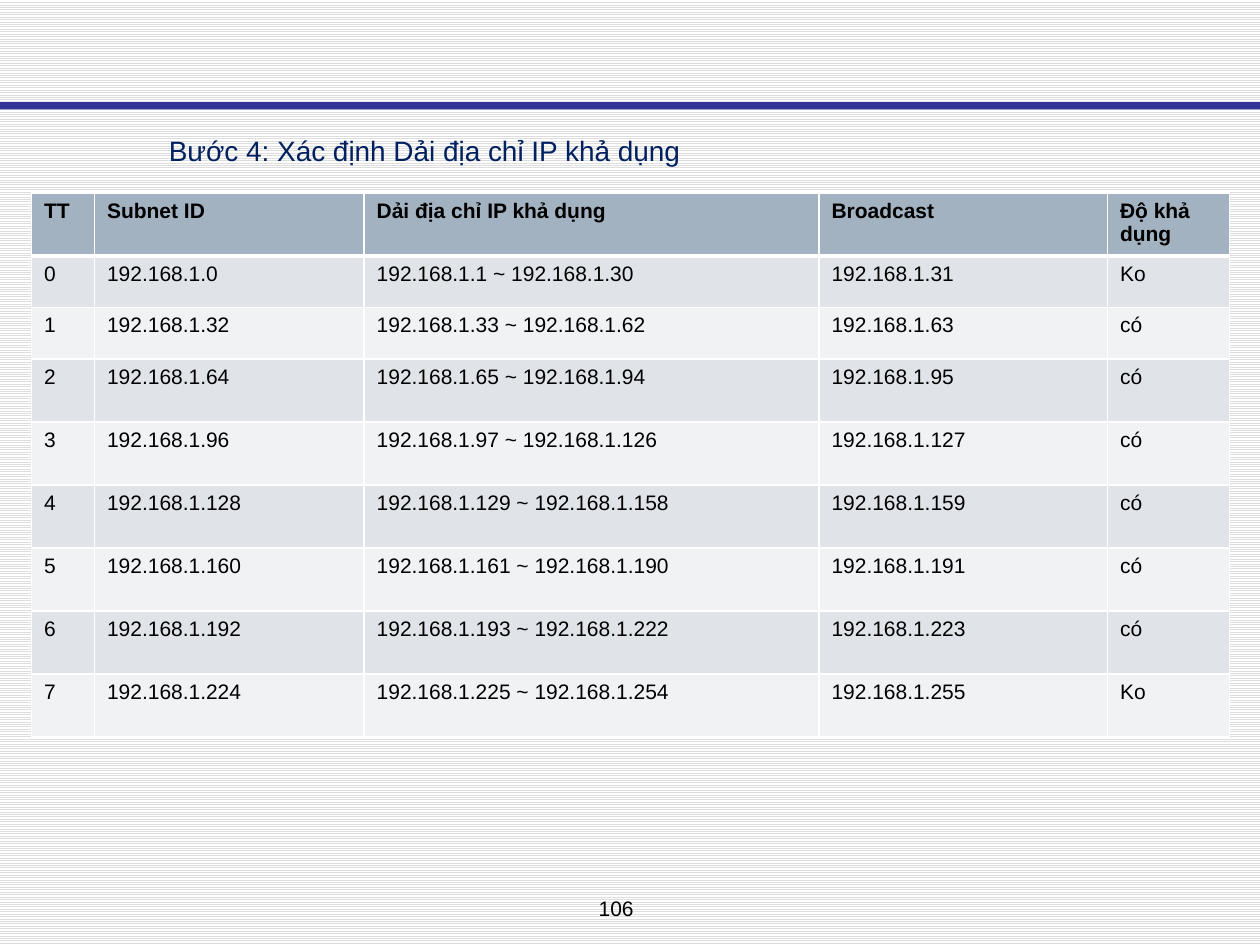
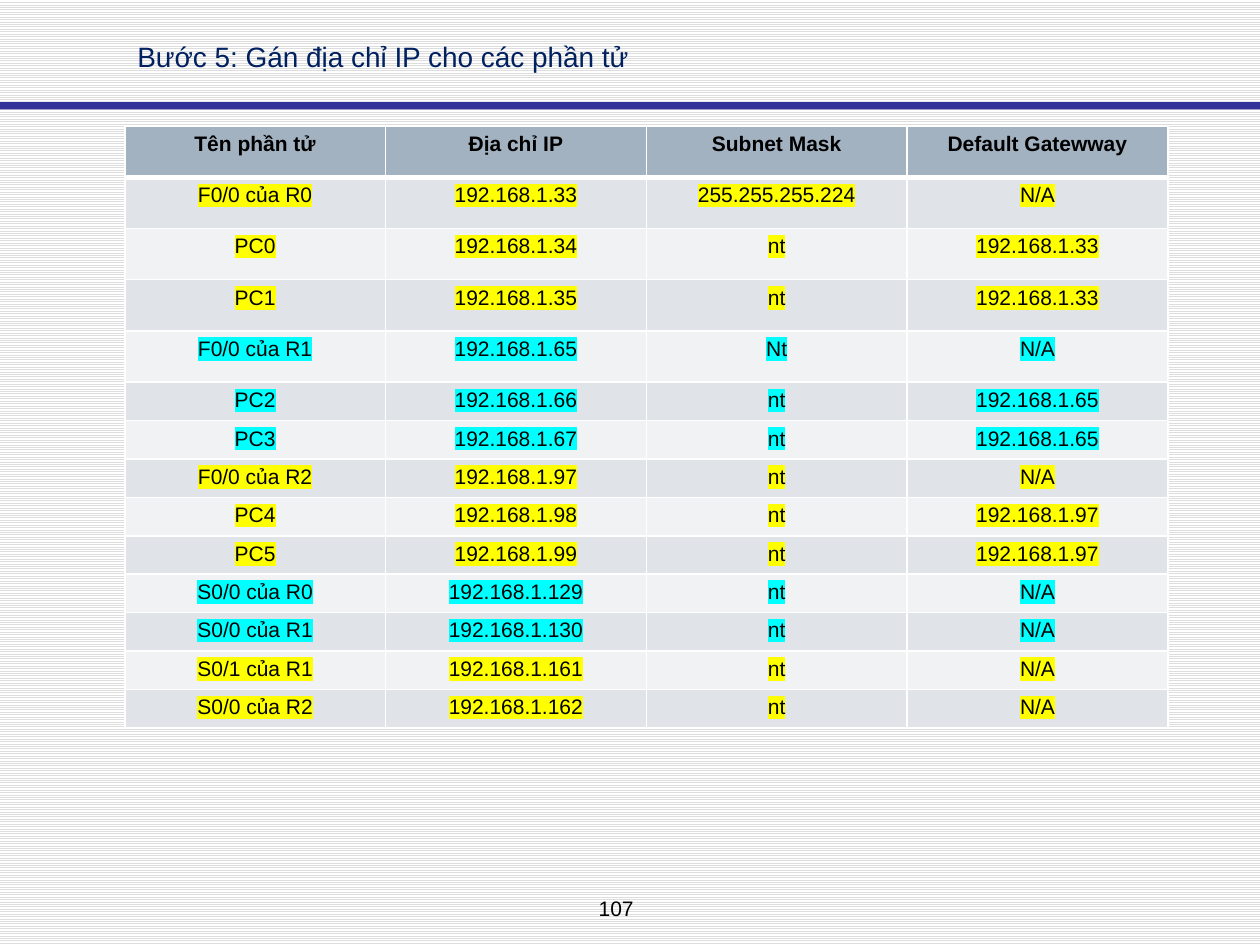
import pptx
import pptx.util
import pptx.dml.color
import pptx.enum.dml
import pptx.enum.shapes
import pptx.enum.text
import lxml.etree
from dataclasses import dataclass

Inches = pptx.util.Inches
Pt = pptx.util.Pt
RGB = pptx.dml.color.RGBColor.from_string
Align = pptx.enum.text.PP_ALIGN
NS = "http://schemas.openxmlformats.org/drawingml/2006/main"


@dataclass
class Theme:
    font: str = "Arial"
    big: int = 16
    small: int = 12
    navy: str = "002060"
    ink: str = "000000"
    white: str = "FFFFFF"
    rule: str = "DDDDDD"
    bar: str = "333399"
    head: str = "A3B2C1"
    bands: tuple = ("E0E4E9", "F0F2F4")
    yellow: str = "FFFF00"
    cyan: str = "00FFFF"


theme = Theme()


def style(para, size, tint, align, bold=False, mark=None):
    """Format a paragraph's only run, with an optional highlight."""
    para.alignment = align
    font = para.runs[0].font
    font.size, font.bold = Pt(size), bold
    font.color.rgb = RGB(tint)
    if mark:
        light = lxml.etree.SubElement(font._element, f"{{{NS}}}highlight")
        lxml.etree.SubElement(light, f"{{{NS}}}srgbClr", val=mark)
    font.name = theme.font


def grid(slide, left, top, widths, heights, rows, align, marks):
    """Add a table with a header, banded rows and white rules."""
    frame = slide.shapes.add_table(
        len(rows), len(widths), Inches(left), Inches(top),
        Inches(sum(widths)), Inches(sum(heights)))
    table = frame.table
    table.horz_banding = False
    for col, width in zip(table.columns, widths):
        col.width = Inches(width)
    for r, (texts, mark) in enumerate(zip(rows, marks)):
        table.rows[r].height = Inches(heights[r])
        for c, text in enumerate(texts):
            cell = table.cell(r, c)
            cell.text_frame.text = text
            style(cell.text_frame.paragraphs[0], theme.small, theme.ink,
                  align, r == 0, mark)
            cell.fill.solid()
            cell.fill.fore_color.rgb = RGB(
                theme.bands[(r - 1) % 2] if r else theme.head)
            # Borders come before the fill, thick under the header
            props = cell._tc.get_or_add_tcPr()
            for n, side in enumerate("LRTB"):
                thick = (r, side) in ((0, "B"), (1, "T"))
                line = lxml.etree.Element(
                    f"{{{NS}}}ln{side}", w=str(Pt(3 if thick else 1)))
                fill = lxml.etree.SubElement(line, f"{{{NS}}}solidFill")
                lxml.etree.SubElement(fill, f"{{{NS}}}srgbClr", val=theme.white)
                props.insert(n, line)


deck = pptx.Presentation()
deck.slide_width, deck.slide_height = Inches(10), Inches(7.5)
layout = deck.slide_layouts[5]

# Shared background of fine lines
back = deck.slide_master.background.fill
back.patterned()
back.pattern = pptx.enum.dml.MSO_PATTERN.LIGHT_HORIZONTAL
back.fore_color.rgb = RGB(theme.rule)
back.back_color.rgb = RGB(theme.white)

# Titles and page numbers
heads = [
    ("Bước 4: Xác định Dải địa chỉ IP khả dụng", 1.24, 0.92, "106"),
    ("Bước 5: Gán địa chỉ IP cho các phần tử", 0.99, 0.17, "107"),
]
slides = []
for text, left, top, page in heads:
    slide = deck.slides.add_slide(layout)
    slides.append(slide)

    title = slide.shapes.title
    title.left, title.top = Inches(left), Inches(top)
    title.width, title.height = Inches(8.51), Inches(0.5)
    frame = title.text_frame
    frame.text = text
    frame.word_wrap = True
    frame.auto_size = pptx.enum.text.MSO_AUTO_SIZE.NONE
    frame.vertical_anchor = pptx.enum.text.MSO_ANCHOR.TOP
    frame.paragraphs[0].line_spacing = 1.35
    style(frame.paragraphs[0], theme.big, theme.navy, Align.LEFT)

    foot = slide.shapes.add_textbox(
        Inches(4.08), Inches(7.06), Inches(1.62), Inches(0.3)).text_frame
    foot.text = page
    foot.word_wrap = True
    style(foot.paragraphs[0], theme.small, theme.ink, Align.CENTER)

# Blue bar, moved to the layout so both slides share it
bar = slides[0].shapes.add_shape(
    pptx.enum.shapes.MSO_SHAPE.RECTANGLE,
    0, Inches(0.81), deck.slide_width, Inches(0.06))
bar.shadow.inherit = False
bar.fill.solid()
bar.fill.fore_color.rgb = RGB(theme.bar)
bar.line.fill.background()
layout.shapes.element.append(bar.element)

# Step 4: eight subnets of 32 addresses, first and last not usable
net = "192.168.1."
count, step = 8, 32
rows = [("TT", "Subnet ID", "Dải địa chỉ IP khả dụng", "Broadcast",
         "Độ khả dụng")]
for n in range(count):
    base = n * step
    last = base + step - 1
    rows.append((str(n), f"{net}{base}",
                 f"{net}{base + 1} ~ {net}{last - 1}", f"{net}{last}",
                 "Ko" if n in (0, count - 1) else "có"))
grid(slides[0], 0.25, 1.53, [0.5, 2.14, 3.61, 2.29, 0.97],
     [0.49] + [0.41] * 2 + [0.5] * 6, rows, Align.LEFT, [None] * len(rows))

# Step 5: name, host, mask, gateway host, grouped by highlight
groups = [
    (theme.yellow, [("F0/0 của R0", 33, "255.255.255.224", None),
                    ("PC0", 34, "nt", 33),
                    ("PC1", 35, "nt", 33)]),
    (theme.cyan, [("F0/0 của R1", 65, "Nt", None),
                  ("PC2", 66, "nt", 65),
                  ("PC3", 67, "nt", 65)]),
    (theme.yellow, [("F0/0 của R2", 97, "nt", None),
                    ("PC4", 98, "nt", 97),
                    ("PC5", 99, "nt", 97)]),
    (theme.cyan, [("S0/0 của R0", 129, "nt", None),
                  ("S0/0 của R1", 130, "nt", None)]),
    (theme.yellow, [("S0/1 của R1", 161, "nt", None),
                    ("S0/0 của R2", 162, "nt", None)]),
]
rows = [("Tên phần tử", "Địa chỉ IP", "Subnet Mask", "Default Gatewway")]
marks = [None]
for mark, parts in groups:
    for name, host, mask, gate in parts:
        rows.append((name, f"{net}{host}", mask,
                     f"{net}{gate}" if gate else "N/A"))
        marks.append(mark)
# Five tall rows and nine short ones, in the ratio 4 to 3
unit = 4.78 / (5 * 4 + 9 * 3)
grid(slides[1], 0.99, 1, [2.07] * 4, [4 * unit] * 5 + [3 * unit] * 9,
     rows, Align.CENTER, marks)

deck.save("out.pptx")
